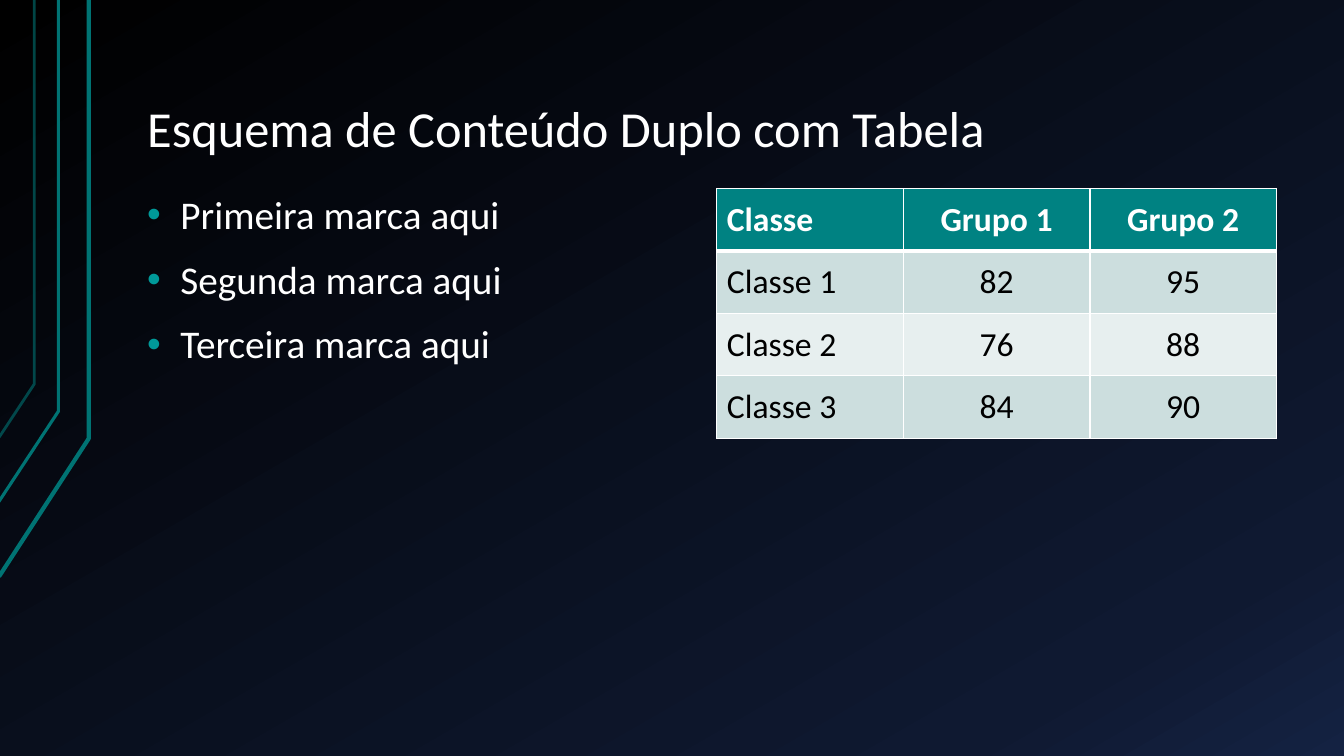
from copy import deepcopy

from lxml.etree import SubElement
from pptx import Presentation
from pptx.dml.color import RGBColor
from pptx.enum.text import MSO_ANCHOR, PP_ALIGN
from pptx.oxml.ns import qn
from pptx.util import Pt

PX = 9144  # EMU per px, 100 px to the inch
COLORS = {
    "white": "FFFFFF", "black": "000000", "teal": "007373", "bullet": "009999",
    "header": "008282", "odd_row": "CCDEDE", "even_row": "E7EFEF",
    "navy": "0F1931", "blue": "142242",
}
BACKGROUND_STOPS = [(0, "black"), (0.85, "navy"), (1, "blue")]
# Points, line width in pt, opacity in percent
CIRCUIT_LINES = [
    ([(-1, 572), (88, 435), (88, 0)], 3, 100),
    ([(-2, 499), (58, 408), (58, 0)], 2.25, 100),
    ([(-1, 434), (34, 381), (34, 0)], 2, 60),
]
TITLE = "Esquema de Conteúdo Duplo com Tabela"
MARKS = ["Primeira marca aqui", "Segunda marca aqui", "Terceira marca aqui"]
SCORES = [
    ["Classe", "Grupo 1", "Grupo 2"],
    ["Classe 1", "82", "95"],
    ["Classe 2", "76", "88"],
    ["Classe 3", "84", "90"],
]
COLUMN_WIDTH, ROW_HEIGHT = 185, 62
FRAME_FORMAT = {
    "word_wrap": True,
    "margin_left": 13 * PX, "margin_right": 13 * PX,
    "margin_top": 7 * PX, "margin_bottom": 7 * PX,
}


def rgb(name):
    return RGBColor.from_string(COLORS[name])


def apply_format(target, values):
    for name, value in values.items():
        setattr(target, name, value)


def write(paragraph, text, size, color="white", bold=False):
    run = paragraph.add_run()
    run.text = text
    apply_format(run.font, {"name": "Calibri", "size": Pt(size), "bold": bold})
    run.font.color.rgb = rgb(color)


def paint_background(slide):
    fill = slide.background.fill
    fill.gradient()
    fill.gradient_angle = 300
    stop_list = next(slide.background._cSld.iter(qn("a:gsLst")))
    stop_list.append(deepcopy(stop_list[-1]))
    for stop, (position, color) in zip(fill.gradient_stops, BACKGROUND_STOPS):
        stop.position = position
        stop.color.rgb = rgb(color)


def add_circuit_line(slide, points, width, opacity):
    builder = slide.shapes.build_freeform(*points[0], scale=PX)
    builder.add_line_segments(points[1:], close=False)
    circuit = builder.convert_to_shape()
    circuit.shadow.inherit = False
    circuit.fill.background()
    circuit.line.width = Pt(width)
    circuit.line.color.rgb = rgb("teal")
    if opacity < 100:
        color = next(circuit.line._ln.iter(qn("a:srgbClr")))
        SubElement(color, qn("a:alpha"), val=str(opacity * 1000))


def add_text(slide, box, paragraphs, size, anchor, space_before=0):
    frame = slide.shapes.add_textbox(*(v * PX for v in box)).text_frame
    apply_format(frame, {**FRAME_FORMAT, "vertical_anchor": anchor})
    for i, text in enumerate(paragraphs):
        paragraph = frame.add_paragraph() if i else frame.paragraphs[0]
        apply_format(paragraph, {"line_spacing": 0.9, "space_before": Pt(space_before)})
        write(paragraph, text, size)
    return frame


def add_bullets(frame):
    for paragraph in frame.paragraphs:
        properties = paragraph._p.get_or_add_pPr()
        properties.set("marL", str(33 * PX))
        properties.set("indent", str(-33 * PX))
        color = SubElement(properties, qn("a:buClr"))
        SubElement(color, qn("a:srgbClr"), val=COLORS["bullet"])
        SubElement(properties, qn("a:buFont"), typeface="Arial")
        SubElement(properties, qn("a:buChar"), char="•")


def add_borders(cell, row):
    heavy = {0: "B", 1: "T"}.get(row)  # the rule under the header
    for side in "LRTB":
        width = Pt(3 if side == heavy else 1)
        border = SubElement(cell._tc.get_or_add_tcPr(), qn(f"a:ln{side}"), w=str(width))
        fill = SubElement(border, qn("a:solidFill"))
        SubElement(fill, qn("a:srgbClr"), val=COLORS["white"])


def add_scores(slide, left, top):
    columns, rows = len(SCORES[0]), len(SCORES)
    size = (columns * COLUMN_WIDTH * PX, rows * ROW_HEIGHT * PX)
    scores = slide.shapes.add_table(rows, columns, left * PX, top * PX, *size).table
    for r, values in enumerate(SCORES):
        header = r == 0
        row_fill = "header" if header else "odd_row" if r % 2 else "even_row"
        for c, value in enumerate(values):
            cell = scores.cell(r, c)
            cell.vertical_anchor = MSO_ANCHOR.MIDDLE
            add_borders(cell, r)
            cell.fill.solid()
            cell.fill.fore_color.rgb = rgb(row_fill)
            paragraph = cell.text_frame.paragraphs[0]
            paragraph.alignment = PP_ALIGN.CENTER if c else PP_ALIGN.LEFT
            write(paragraph, value, 24, "white" if header else "black", header)


def main():
    deck = Presentation()
    apply_format(deck, {"slide_width": 1333 * PX, "slide_height": 750 * PX})
    slide = deck.slides.add_slide(deck.slide_layouts[6])

    # Backdrop
    paint_background(slide)
    for circuit in CIRCUIT_LINES:
        add_circuit_line(slide, *circuit)

    # Title and bullet list
    add_text(slide, (133, 30, 1133, 134), [TITLE], 36, MSO_ANCHOR.BOTTOM)
    marks = add_text(slide, (133, 187, 555, 488), MARKS, 28, MSO_ANCHOR.TOP, 16)
    add_bullets(marks)

    # Table
    add_scores(slide, 711, 187)
    deck.save("out.pptx")


if __name__ == "__main__":
    main()
